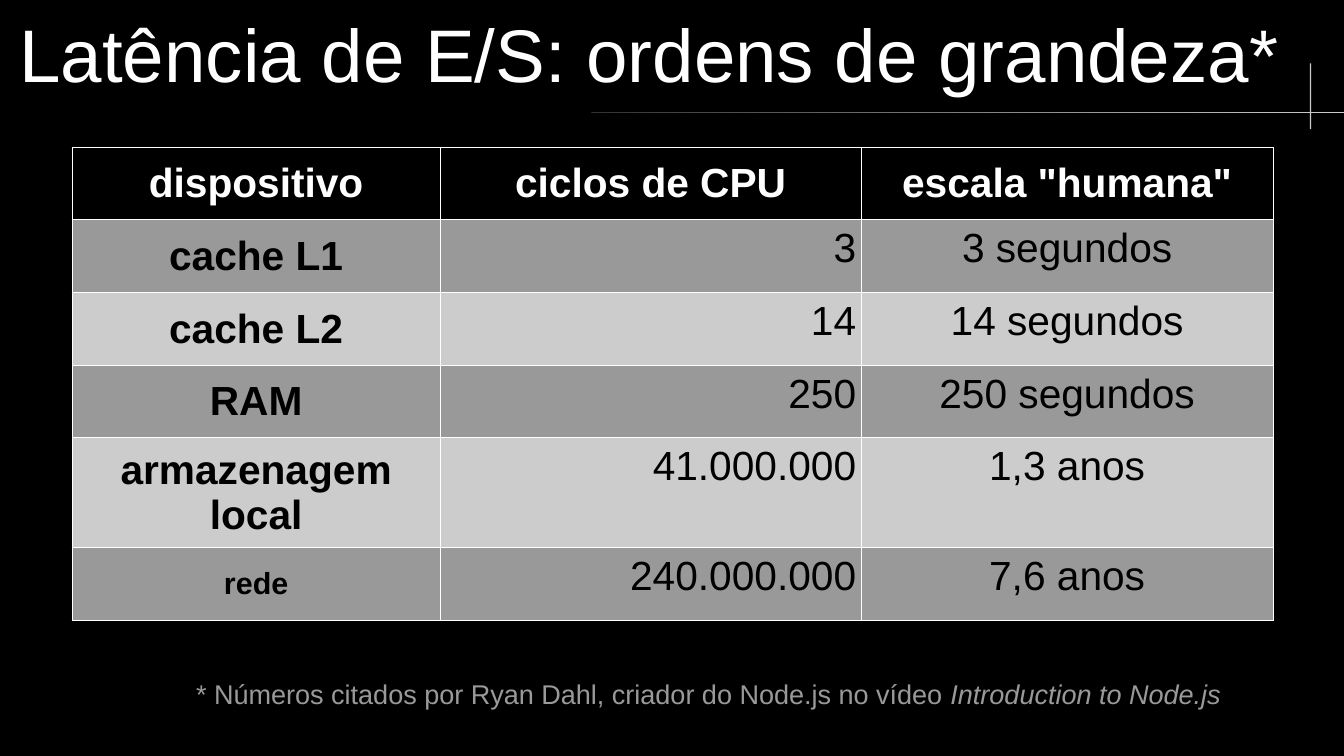
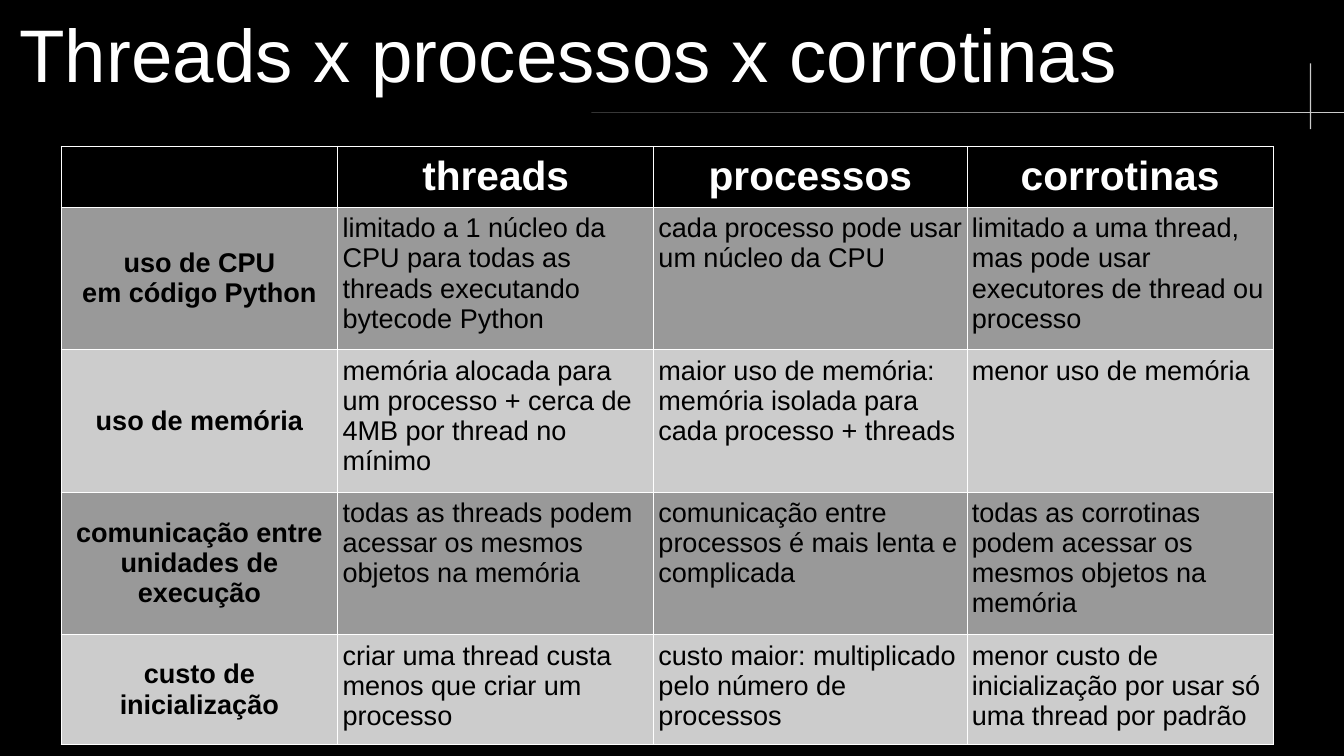
from lxml import etree
from pptx import Presentation
from pptx.dml.color import RGBColor
from pptx.enum.shapes import MSO_SHAPE
from pptx.enum.text import MSO_ANCHOR, PP_ALIGN
from pptx.oxml.ns import qn
from pptx.util import Inches, Pt

LEFT, CENTER, RIGHT = PP_ALIGN.LEFT, PP_ALIGN.CENTER, PP_ALIGN.RIGHT
TOP, MIDDLE = MSO_ANCHOR.TOP, MSO_ANCHOR.MIDDLE
RULE_SHAPE = MSO_SHAPE.RECTANGLE

SLIDE_W, SLIDE_H = 11.02, 6.2
FONT = "Arial"
BLACK, WHITE = "000000", "FFFFFF"
DARK, MID, LIGHT = "333333", "999999", "CCCCCC"
BANDS = (MID, LIGHT)
TITLE_SIZE, HEADER_SIZE, NOTE_SIZE = 44, 24, 16
TITLE_BOX = (0.16, 0.08, 10.43, 0.71)
NOTE_BOX = (0.79, 5.51, 10.04, 0.35)
RULE_LEFT, RULE_TOP, RULE_WEIGHT = 4.85, 0.92, 0.01
TICK_BOX = (10.74, 0.52, RULE_WEIGHT, 0.54)
BORDER_PT = 0.57
CELL_PAD_X, CELL_PAD_Y = 0.04, 0.05

SLIDES = [
    {
        "title": "Latência de E/S: ordens de grandeza*",
        "origin": (0.59, 1.21),
        "columns": (3.02, 3.45, 3.38),
        "heights": (0.59, 0.6, 0.6, 0.59, 0.9, 0.6),
        "aligns": (CENTER, RIGHT, CENTER),
        "body_size": 24,
        "label_sizes": {"rede": 18},
        "rows": [
            ("dispositivo", "ciclos de CPU", 'escala "humana"'),
            ("cache L1", "3", "3 segundos"),
            ("cache L2", "14", "14 segundos"),
            ("RAM", "250", "250 segundos"),
            ("armazenagem local", "41.000.000", "1,3 anos"),
            ("rede", "240.000.000", "7,6 anos"),
        ],
        "note": [
            ("* Números citados por Ryan Dahl, criador do Node.js no vídeo ", False),
            ("Introduction to Node.js", True),
        ],
    },
    {
        "title": "Threads x processos x corrotinas",
        "origin": (0.5, 1.2),
        "columns": (2.27, 2.59, 2.57, 2.51),
        "heights": (0.5, 1.16, 1.17, 1.17, 0.9),
        "aligns": (CENTER, LEFT, LEFT, LEFT),
        "body_size": 16,
        "label_sizes": {},
        "rows": [
            ("", "threads", "processos", "corrotinas"),
            ("uso de CPU\nem código Python",
             "limitado a 1 núcleo da CPU para todas as threads executando bytecode Python",
             "cada processo pode usar um núcleo da CPU",
             "limitado a uma thread, mas pode usar executores de thread ou processo"),
            ("uso de memória",
             "memória alocada para um processo + cerca de 4MB por thread no mínimo",
             "maior uso de memória: memória isolada para cada processo + threads",
             "menor uso de memória"),
            ("comunicação entre unidades de execução",
             "todas as threads podem acessar os mesmos objetos na memória",
             "comunicação entre processos é mais lenta e complicada",
             "todas as corrotinas podem acessar os mesmos objetos na memória"),
            ("custo de inicialização",
             "criar uma thread custa menos que criar um processo",
             "custo maior: multiplicado pelo número de processos",
             "menor custo de inicialização por usar só uma thread por padrão"),
        ],
        "note": [],
    },
]


def rgb(value):
    return RGBColor.from_string(value)


def inches(values):
    return [Inches(value) for value in values]


def write(frame, text, size, color, align=LEFT, bold=False, italic=False):
    """Append text to the frame's first paragraph; newlines become line breaks."""
    paragraph = frame.paragraphs[0]
    paragraph.alignment = align
    for index, line in enumerate(text.split("\n")):
        if index:
            paragraph.add_line_break()
        run = paragraph.add_run()
        run.text = line
        font = run.font
        font.name, font.size = FONT, Pt(size)
        font.bold, font.italic = bold, italic
        font.color.rgb = rgb(color)


def add_text_frame(slide, box, anchor, pad_x=0, pad_y=0):
    frame = slide.shapes.add_textbox(*inches(box)).text_frame
    frame.word_wrap = True
    frame.vertical_anchor = anchor
    frame.margin_left = frame.margin_right = Inches(pad_x)
    frame.margin_top = frame.margin_bottom = Inches(pad_y)
    return frame


def add_rule(slide, box):
    """Add a hairline bar without outline and return its fill."""
    rule = slide.shapes.add_shape(RULE_SHAPE, *inches(box))
    rule.shadow.inherit = False
    rule.line.fill.background()
    return rule.fill


def add_frame(slide, title):
    """Add the crossed rules and the title that every slide carries."""
    fade = add_rule(slide, (RULE_LEFT, RULE_TOP, SLIDE_W - RULE_LEFT, RULE_WEIGHT))
    fade.gradient()
    fade.gradient_angle = 0
    for stop, color, position in zip(fade.gradient_stops, (DARK, LIGHT), (0, 1)):
        stop.color.rgb = rgb(color)
        stop.position = position
    tick = add_rule(slide, TICK_BOX)
    tick.solid()
    tick.fore_color.rgb = rgb(LIGHT)
    write(add_text_frame(slide, TITLE_BOX, MIDDLE), title, TITLE_SIZE, WHITE)


def set_borders(cell):
    properties = cell._tc.get_or_add_tcPr()
    for side in ("lnL", "lnR", "lnT", "lnB"):
        line = etree.SubElement(properties, qn(f"a:{side}"), w=str(Pt(BORDER_PT)))
        fill = etree.SubElement(line, qn("a:solidFill"))
        etree.SubElement(fill, qn("a:srgbClr"), val=WHITE)


def style_cell(cell, fill, anchor):
    set_borders(cell)
    cell.fill.solid()
    cell.fill.fore_color.rgb = rgb(fill)
    cell.vertical_anchor = anchor
    cell.margin_left = cell.margin_right = Inches(CELL_PAD_X)
    cell.margin_top = cell.margin_bottom = Inches(CELL_PAD_Y)


def add_comparison(slide, content):
    rows, columns, heights = content["rows"], content["columns"], content["heights"]
    box = (*content["origin"], sum(columns), sum(heights))
    table = slide.shapes.add_table(len(rows), len(columns), *inches(box)).table
    table.first_row = table.horz_banding = False
    for column, width in zip(table.columns, columns):
        column.width = Inches(width)
    for r, (texts, height) in enumerate(zip(rows, heights)):
        table.rows[r].height = Inches(height)
        is_header = r == 0
        fill = BLACK if is_header else BANDS[(r - 1) % 2]
        color = WHITE if is_header else BLACK
        base_size = HEADER_SIZE if is_header else content["body_size"]
        for c, text in enumerate(texts):
            is_label = is_header or c == 0
            cell = table.cell(r, c)
            style_cell(cell, fill, MIDDLE if is_label else TOP)
            if text:
                write(cell.text_frame, text, content["label_sizes"].get(text, base_size),
                      color, align=CENTER if is_label else content["aligns"][c],
                      bold=is_label)


def add_note(slide, parts):
    frame = add_text_frame(slide, NOTE_BOX, TOP, pad_x=0.1, pad_y=0.05)
    for text, italic in parts:
        write(frame, text, NOTE_SIZE, MID, align=CENTER, italic=italic)


def main():
    prs = Presentation()
    prs.slide_width, prs.slide_height = inches((SLIDE_W, SLIDE_H))
    backdrop = prs.slide_master.background.fill
    backdrop.solid()
    backdrop.fore_color.rgb = rgb(BLACK)
    blank = prs.slide_layouts[6]
    for content in SLIDES:
        slide = prs.slides.add_slide(blank)
        add_frame(slide, content["title"])
        add_comparison(slide, content)
        if content["note"]:
            add_note(slide, content["note"])
    prs.save("out.pptx")


if __name__ == "__main__":
    main()
